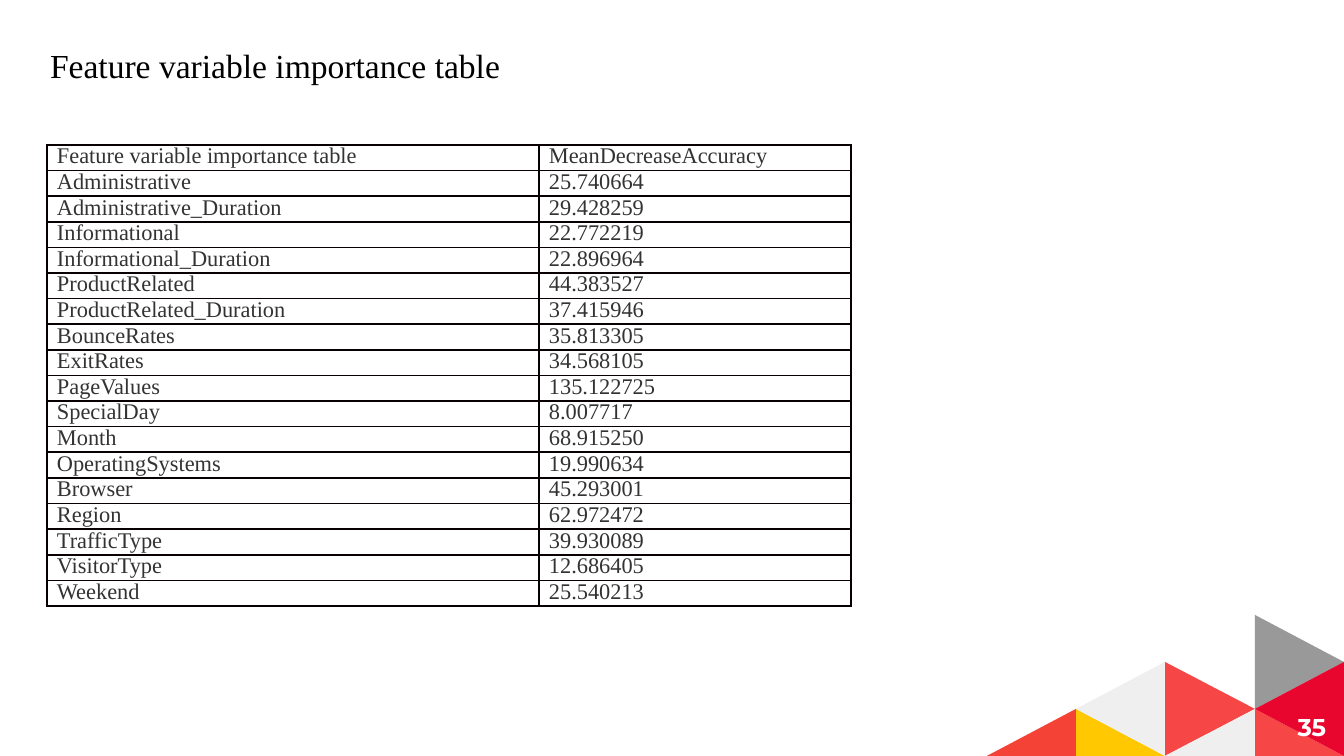
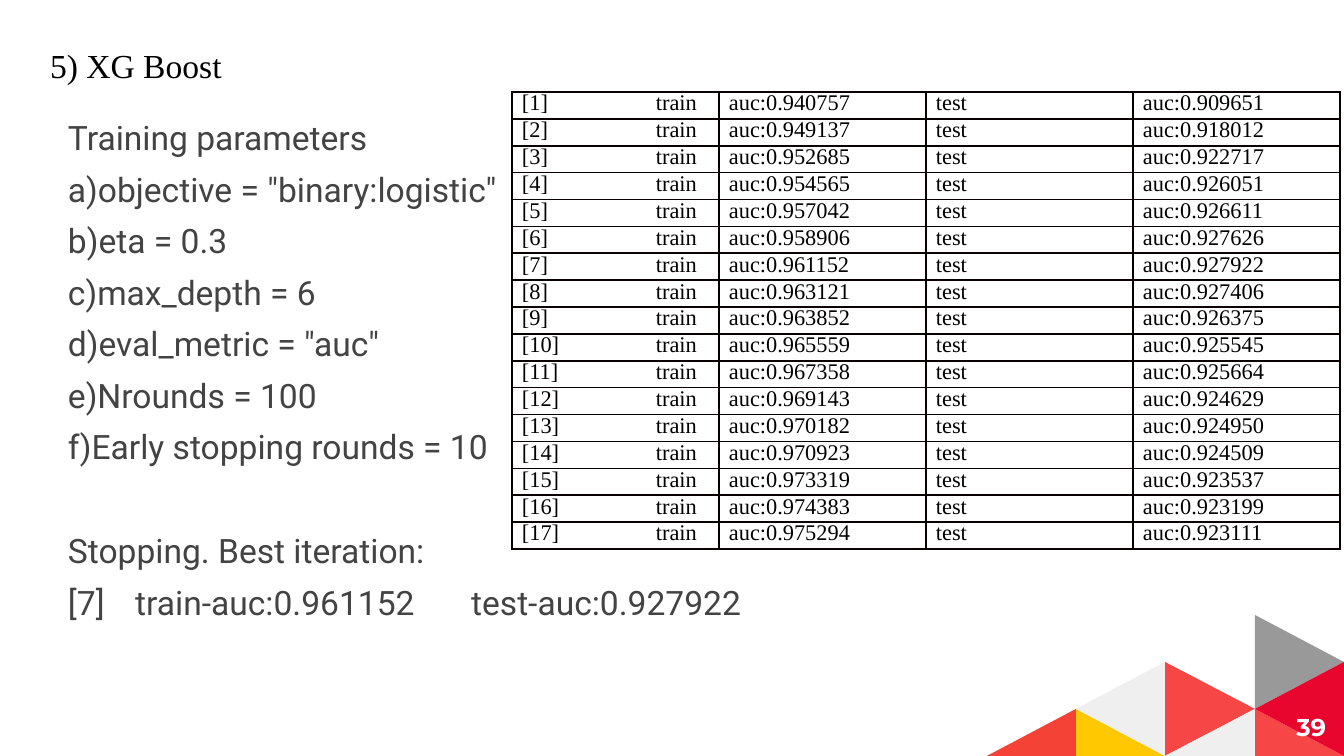
from lxml import etree
from pptx import Presentation
from pptx.dml.color import RGBColor
from pptx.enum.text import MSO_ANCHOR, PP_ALIGN
from pptx.oxml.ns import qn
from pptx.util import Pt

MIDDLE, TOP = MSO_ANCHOR.MIDDLE, MSO_ANCHOR.TOP
LEFT, RIGHT = PP_ALIGN.LEFT, PP_ALIGN.RIGHT

COLORS = {
    "black": "000000", "cell": "333333", "body": "434343", "border": "080000",
    "white": "FFFFFF", "gray": "999999", "yellow": "FFC800", "coral": "F64646",
    "light": "EFEFEF", "crimson": "E8062F", "red": "F44336",
}
SERIF, SANS, NUMBER = "Times New Roman", "Roboto", "Montserrat"

IMPORTANCE = [
    ("Feature variable importance table", "MeanDecreaseAccuracy"),
    ("Administrative", "25.740664"),
    ("Administrative_Duration", "29.428259"),
    ("Informational", "22.772219"),
    ("Informational_Duration", "22.896964"),
    ("ProductRelated", "44.383527"),
    ("ProductRelated_Duration", "37.415946"),
    ("BounceRates", "35.813305"),
    ("ExitRates", "34.568105"),
    ("PageValues", "135.122725"),
    ("SpecialDay", "8.007717"),
    ("Month", "68.915250"),
    ("OperatingSystems", "19.990634"),
    ("Browser", "45.293001"),
    ("Region", "62.972472"),
    ("TrafficType", "39.930089"),
    ("VisitorType", "12.686405"),
    ("Weekend", "25.540213"),
]
PARAMETERS = [
    "Training parameters",
    'a)objective = "binary:logistic"',
    "b)eta = 0.3",
    "c)max_depth = 6",
    'd)eval_metric = "auc"',
    "e)Nrounds = 100",
    "f)Early stopping rounds = 10",
]
RESULT = ["Stopping. Best iteration:", "[7]\ttrain-auc:0.961152\ttest-auc:0.927922"]
AUC = [
    ("0.940757", "0.909651"), ("0.949137", "0.918012"), ("0.952685", "0.922717"),
    ("0.954565", "0.926051"), ("0.957042", "0.926611"), ("0.958906", "0.927626"),
    ("0.961152", "0.927922"), ("0.963121", "0.927406"), ("0.963852", "0.926375"),
    ("0.965559", "0.925545"), ("0.967358", "0.925664"), ("0.969143", "0.924629"),
    ("0.970182", "0.924950"), ("0.970923", "0.924509"), ("0.973319", "0.923537"),
    ("0.974383", "0.923199"), ("0.975294", "0.923111"),
]
ROUNDS = [
    (f"[{number}]\ttrain", f"auc:{train}", "test", f"auc:{test}")
    for number, (train, test) in enumerate(AUC, 1)
]

GRID_X = [987, 1076, 1165, 1255, 1344]
GRID_Y = [615, 662, 709, 756]
TRIANGLES = [
    ("gray", [(3, 0), (3, 2), (4, 1)]),
    ("yellow", [(1, 2), (1, 3), (2, 3)]),
    ("coral", [(2, 1), (2, 3), (3, 2)]),
    ("coral", [(3, 2), (3, 3), (4, 3)]),
    ("light", [(2, 1), (1, 2), (2, 3)]),
    ("light", [(3, 2), (2, 3), (3, 3)]),
    ("crimson", [(4, 1), (3, 2), (4, 3)]),
    ("red", [(1, 2), (0, 3), (1, 3)]),
]
SCALE = 914400 / 134.4
INSET = 13
TAB = 134


def px(length):
    return round(length * SCALE)


def rgb(name):
    return RGBColor.from_string(COLORS[name])


def style(paragraph, font_name, size, color, bold=False, align=LEFT):
    paragraph.alignment = align
    font = paragraph.font
    font.name, font.size, font.bold = font_name, Pt(size), bold
    font.color.rgb = rgb(color)


def set_tabs(paragraph, stops):
    properties = paragraph._p.get_or_add_pPr()
    tab_list = etree.SubElement(properties, qn("a:tabLst"))
    for stop in stops:
        etree.SubElement(tab_list, qn("a:tab"), pos=str(px(stop)), algn="l")
    default = properties.find(qn("a:defRPr"))
    if default is not None:
        default.addprevious(tab_list)


def place(shape, box, anchor=TOP, left_inset=INSET):
    shape.left, shape.top, shape.width, shape.height = map(px, box)
    frame = shape.text_frame
    frame.word_wrap = True
    frame.vertical_anchor = anchor
    frame.margin_left = px(left_inset)
    frame.margin_right = frame.margin_top = frame.margin_bottom = px(INSET)
    return frame


def add_master_triangles(presentation, slide):
    master_tree = presentation.slide_master.shapes.element
    for index, (color, corners) in enumerate(TRIANGLES):
        points = [(GRID_X[column], GRID_Y[row]) for column, row in corners]
        builder = slide.shapes.build_freeform(*points[0], scale=SCALE)
        builder.add_line_segments(points[1:])
        triangle = builder.convert_to_shape()
        triangle.shadow.inherit = False
        triangle.fill.solid()
        triangle.fill.fore_color.rgb = rgb(color)
        triangle.line.fill.background()
        triangle.element.xpath(".//p:cNvPr")[0].set("id", str(20 + index))
        master_tree.append(triangle.element)


def add_title(slide, text, box):
    frame = place(slide.shapes.title, box)
    frame.text = text
    paragraph = frame.paragraphs[0]
    style(paragraph, SERIF, 18, "black")
    paragraph.line_spacing = 1.1


def add_page_number(slide, number):
    box = (1258, 698, 81, 58)
    frame = place(slide.shapes.add_textbox(0, 0, 0, 0), box, MIDDLE)
    frame.text = str(number)
    style(frame.paragraphs[0], NUMBER, 13, "white", True, RIGHT)


def add_parameters(slide):
    frame = place(slide.placeholders[1], (39, 104, 1220, 590), left_inset=29)
    lines = PARAMETERS + RESULT
    frame.text = "\n".join(lines)
    for index, paragraph in enumerate(frame.paragraphs):
        style(paragraph, SANS, 18, "body")
        paragraph.space_before = Pt(34 if index == len(PARAMETERS) else 6)
        properties = paragraph._p.get_or_add_pPr()
        properties.set("marL", "0")
        properties.set("indent", "0")
        bullet = etree.Element(qn("a:buNone"))
        properties.find(qn("a:defRPr")).addprevious(bullet)
        if "\t" in lines[index]:
            set_tabs(paragraph, [TAB, 4 * TAB])


def add_borders(cell):
    properties = cell._tc.get_or_add_tcPr()
    for index, side in enumerate(("lnL", "lnR", "lnT", "lnB")):
        line = etree.Element(qn(f"a:{side}"), w=str(Pt(1)))
        fill = etree.SubElement(line, qn("a:solidFill"))
        etree.SubElement(fill, qn("a:srgbClr"), val=COLORS["border"])
        properties.insert(index, line)


def add_grid(slide, rows, left, top, widths, height, color):
    frame = slide.shapes.add_table(
        len(rows), len(widths), px(left), px(top), px(sum(widths)), px(height))
    table = frame.table
    table.first_row = table.horz_banding = False
    for column, width in zip(table.columns, widths):
        column.width = px(width)
    for row, values in zip(table.rows, rows):
        row.height = px(height / len(rows))
        for cell, value in zip(row.cells, values):
            cell.margin_left = cell.margin_right = px(10)
            cell.margin_top = cell.margin_bottom = 0
            cell.fill.background()
            add_borders(cell)
            cell.text = value
            paragraph = cell.text_frame.paragraphs[0]
            style(paragraph, SERIF, 12, color)
            paragraph.line_spacing = 0.95
            if "\t" in value:
                set_tabs(paragraph, [TAB])


def main():
    presentation = Presentation()
    presentation.slide_width, presentation.slide_height = px(1344), px(756)
    layouts = presentation.slide_layouts

    importance = presentation.slides.add_slide(layouts.get_by_name("Title Only"))
    add_master_triangles(presentation, importance)
    add_title(importance, "Feature variable importance table", (37, 28, 1063, 98))
    add_page_number(importance, 35)
    add_grid(importance, IMPORTANCE, 47, 145, [492, 312], 449, "cell")

    boost = presentation.slides.add_slide(layouts.get_by_name("Title and Content"))
    add_title(boost, "5) XG Boost", (37, 28, 1220, 98))
    add_parameters(boost)
    add_page_number(boost, 39)
    add_grid(boost, ROUNDS, 512, 92, [207] * 4, 457, "black")

    presentation.save("out.pptx")


if __name__ == "__main__":
    main()
